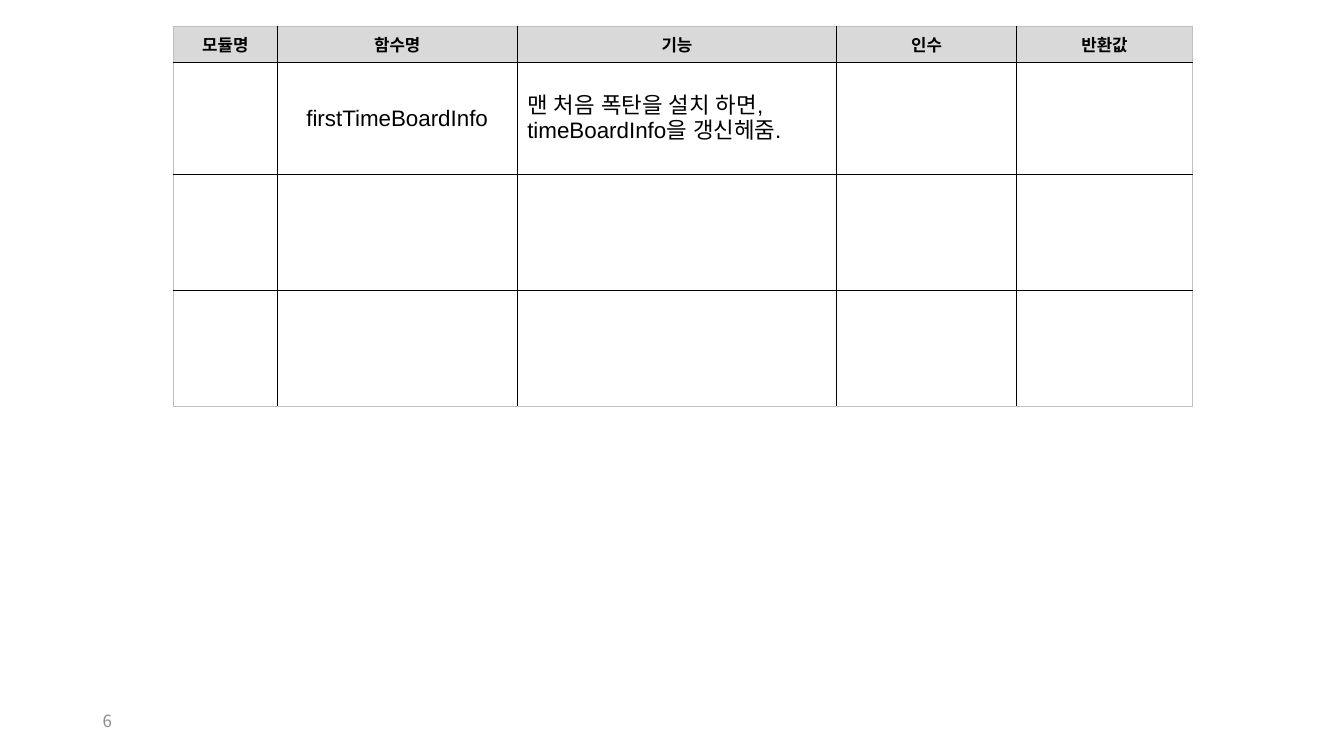
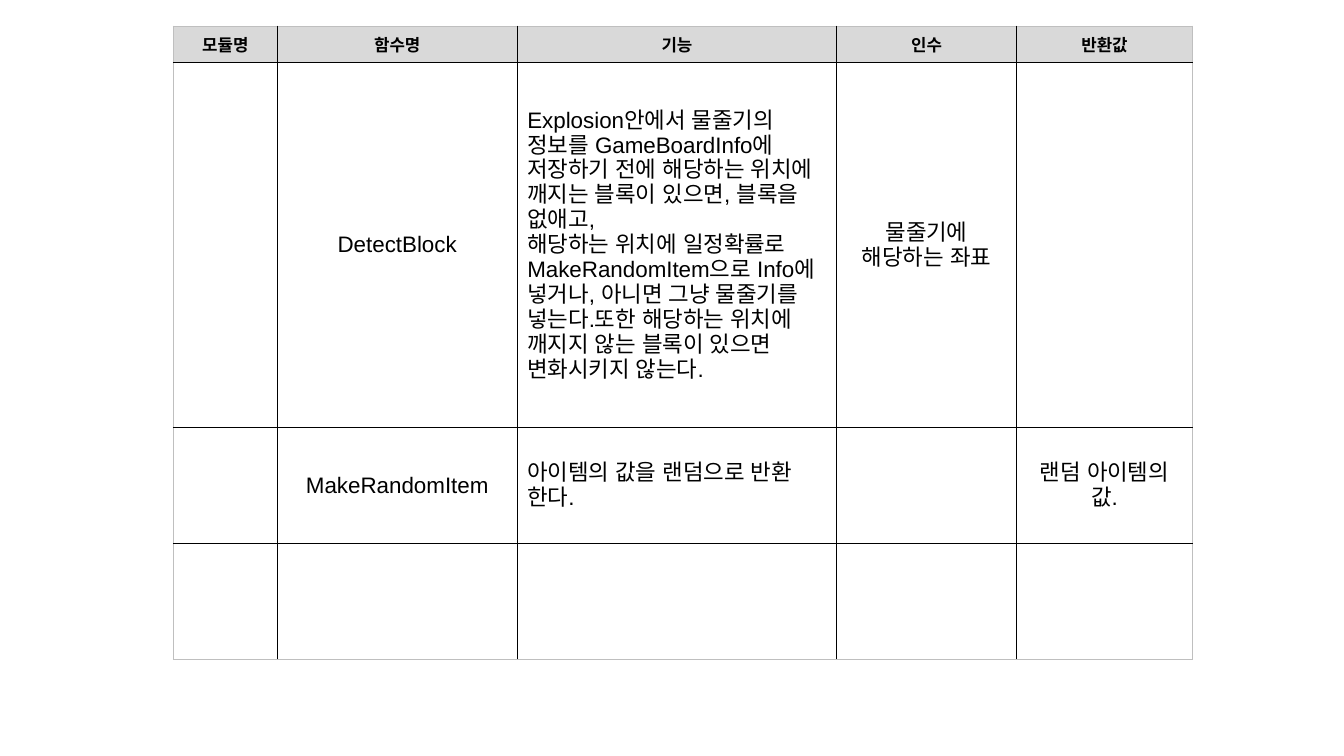
"""Build two slides of function specification tables."""
from lxml import etree
from pptx import Presentation
from pptx.dml.color import RGBColor
from pptx.enum.text import MSO_ANCHOR, PP_ALIGN
from pptx.oxml.ns import qn
from pptx.util import Inches, Pt

MIDDLE = MSO_ANCHOR.MIDDLE
LEFT, CENTER = PP_ALIGN.LEFT, PP_ALIGN.CENTER
KOREAN_FONT, LATIN_FONT = "Noto Sans CJK KR", "Arial"
BLACK, GRAY, HEADER_FILL, WHITE = "000000", "BFBFBF", "D9D9D9", "FFFFFF"
HEADER_FORMAT = {"name": KOREAN_FONT, "size": Pt(12), "bold": True}
BODY_FORMAT = {"name": LATIN_FONT, "size": Pt(16), "bold": False}
NUMBER_FORMAT = {"name": KOREAN_FONT, "size": Pt(12)}

COLUMN_WIDTHS = [1.03, 2.38, 3.17, 1.78, 1.75]
HEADERS = ["모듈명", "함수명", "기능", "인수", "반환값"]
DESCRIPTION_COLUMN = 2
RETURN_MARGIN = Inches(0.15)
EMPTY_ROW = [""] * len(HEADERS)

SLIDES = [
    {
        "number": "6",
        "heights": [0.36, 1.11, 1.15, 1.15],
        "rows": [
            ["", "firstTimeBoardInfo",
             "맨 처음 폭탄을 설치 하면, timeBoardInfo을 갱신헤줌.", "", ""],
            EMPTY_ROW,
            EMPTY_ROW,
        ],
    },
    {
        "number": "",
        "heights": [0.36, 3.62, 1.15, 1.15],
        "rows": [
            ["", "DetectBlock",
             "Explosion안에서 물줄기의 정보를 GameBoardInfo에 저장하기 전에 "
             "해당하는 위치에 깨지는 블록이 있으면, 블록을 없애고,\n"
             "해당하는 위치에 일정확률로MakeRandomItem으로 Info에 넣거나, "
             "아니면 그냥 물줄기를 넣는다.또한 해당하는 위치에 깨지지 않는 "
             "블록이 있으면 변화시키지 않는다.",
             "물줄기에 해당하는 좌표", ""],
            ["", "MakeRandomItem", "아이템의 값을 랜덤으로 반환 한다.", "",
             "랜덤 아이템의 값."],
            EMPTY_ROW,
        ],
    },
]


def color(value):
    return RGBColor.from_string(value)


def write(frame, text, formats, text_color, alignment):
    frame.text = text
    for paragraph in frame.paragraphs:
        paragraph.alignment = alignment
        for run in paragraph.runs:
            for name, value in formats.items():
                setattr(run.font, name, value)
            run.font.color.rgb = color(text_color)
            east_asian = etree.SubElement(run.font._element, qn("a:ea"))
            east_asian.set("typeface", formats["name"])


presentation = Presentation()
presentation.slide_width = Inches(13.33)
presentation.slide_height = Inches(7.5)
blank_layout = presentation.slide_layouts[6]

for content in SLIDES:
    slide = presentation.slides.add_slide(blank_layout)
    if content["number"]:
        number_box = slide.shapes.add_textbox(
            Inches(0.92), Inches(6.95), Inches(3), Inches(0.4))
        number_box.text_frame.word_wrap = True
        number_box.text_frame.vertical_anchor = MIDDLE
        write(number_box.text_frame, content["number"], NUMBER_FORMAT, "8C8C8C", LEFT)

    rows = [HEADERS] + content["rows"]
    last_row, last_column = len(rows) - 1, len(HEADERS) - 1
    table = slide.shapes.add_table(
        len(rows), len(HEADERS), Inches(1.72), Inches(0.26),
        Inches(sum(COLUMN_WIDTHS)), Inches(sum(content["heights"]))).table
    table.first_row = table.horz_banding = False
    for column, width in zip(table.columns, COLUMN_WIDTHS):
        column.width = Inches(width)

    for row_index, row in enumerate(rows):
        table.rows[row_index].height = Inches(content["heights"][row_index])
        is_header = row_index == 0
        for column_index, text in enumerate(row):
            cell = table.cell(row_index, column_index)
            cell.vertical_anchor = MIDDLE
            if column_index == last_column:
                cell.margin_left = cell.margin_right = RETURN_MARGIN
            is_description = column_index == DESCRIPTION_COLUMN and not is_header
            write(cell.text_frame, text, HEADER_FORMAT if is_header else BODY_FORMAT,
                  BLACK, LEFT if is_description else CENTER)
            outer_edges = {
                "a:lnL": column_index == 0,
                "a:lnR": column_index == last_column,
                "a:lnT": is_header,
                "a:lnB": row_index == last_row,
            }
            properties = cell._tc.get_or_add_tcPr()
            for edge, is_outer in outer_edges.items():
                line = etree.SubElement(properties, qn(edge), w=str(Pt(1)))
                line_fill = etree.SubElement(line, qn("a:solidFill"))
                etree.SubElement(line_fill, qn("a:srgbClr"), val=GRAY if is_outer else BLACK)
            cell.fill.solid()
            cell.fill.fore_color.rgb = color(HEADER_FILL if is_header else WHITE)

presentation.save("out.pptx")
